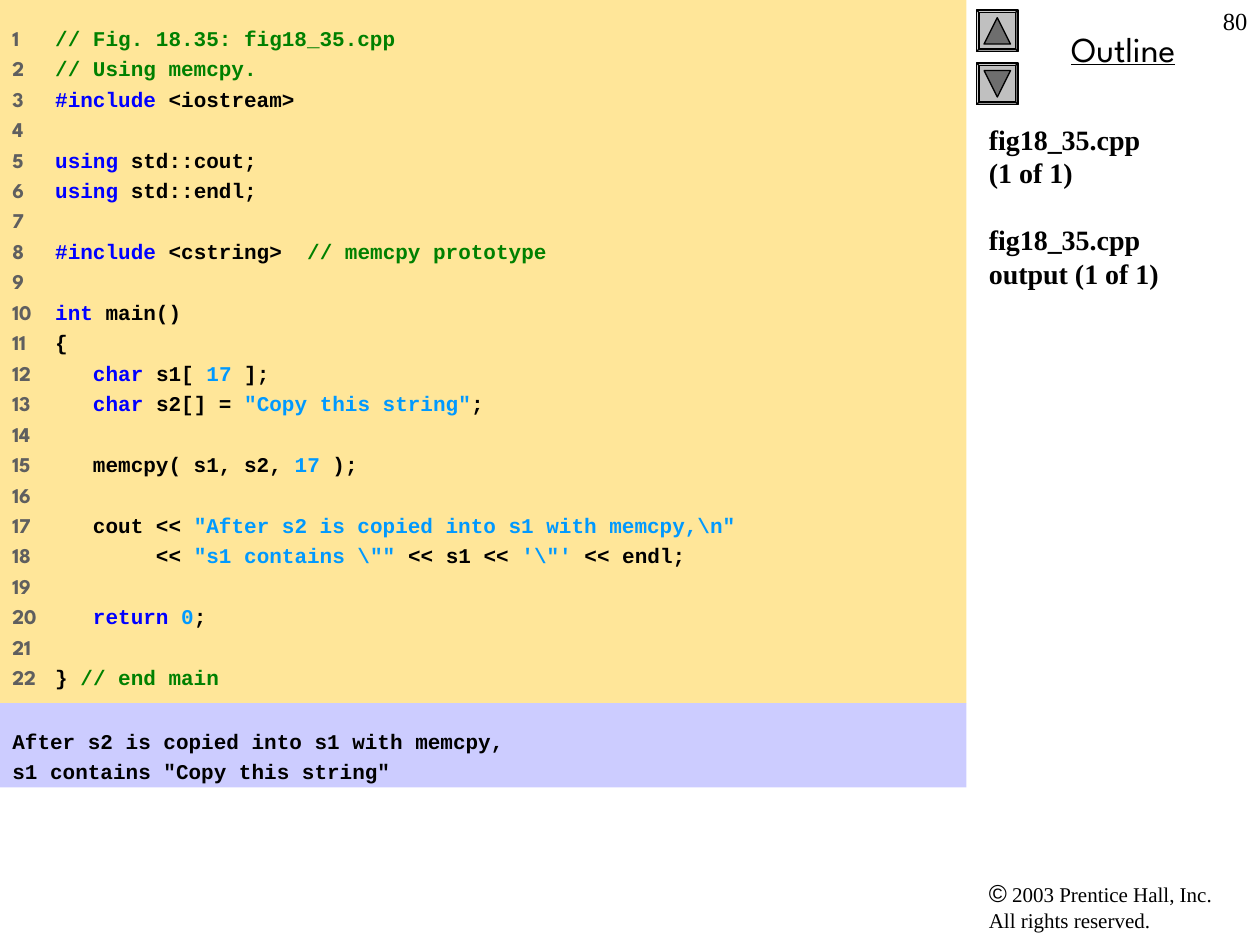
from lxml import etree
from pptx import Presentation, util as u
from pptx.dml.color import RGBColor
from pptx.enum import shapes, text
from pptx.oxml.ns import qn

COLORS = {
    "number": "5F5F5F", "comment": "008000", "keyword": "0000FF",
    "plain": "000000", "literal": "0099FF", "code_bg": "FFE699",
    "output_bg": "CCCCFF", "button": "C0C0C0", "arrow": "6E6E6E",
}
MONO, SANS, SERIF = "Courier New", "League Spartan", "Times New Roman"

CODE = [
    [("comment", "// Fig. 18.35: fig18_35.cpp")],
    [("comment", "// Using memcpy.")],
    [("keyword", "#include"), ("plain", " <iostream>")],
    [],
    [("keyword", "using"), ("plain", " std::cout;")],
    [("keyword", "using"), ("plain", " std::endl;")],
    [],
    [("keyword", "#include"), ("plain", " <cstring>  "),
     ("comment", "// memcpy prototype")],
    [],
    [("keyword", "int"), ("plain", " main()")],
    [("plain", "{")],
    [("keyword", "   char"), ("plain", " s1[ "), ("literal", "17"), ("plain", " ];")],
    [("keyword", "   char"), ("plain", " s2[] = "),
     ("literal", '"Copy this string"'), ("plain", ";")],
    [],
    [("plain", "   memcpy( s1, s2, "), ("literal", "17"), ("plain", " );")],
    [],
    [("plain", "   cout << "),
     ("literal", r'"After s2 is copied into s1 with memcpy,\n"')],
    [("plain", "        << "), ("literal", r'"s1 contains \"" '),
     ("plain", "<< s1 << "), ("literal", r"'\"' "), ("plain", "<< endl;")],
    [],
    [("keyword", "   return "), ("literal", "0"), ("plain", ";")],
    [],
    [("plain", "} "), ("comment", "// end main")],
]


def add_box(left, top, width, height, fill=None, inset=0.05):
    sp = s.shapes.add_textbox(*map(u.Inches, (left, top, width, height)))
    if fill:
        sp.fill.solid()
        sp.fill.fore_color.rgb = RGBColor.from_string(COLORS[fill])
    tf = sp.text_frame
    tf.word_wrap = True
    tf.auto_size = text.MSO_AUTO_SIZE.NONE
    tf.margin_top = tf.margin_bottom = u.Inches(inset)
    return tf


def set_font(font, name, size=None, color="plain", bold=None):
    font.name = name
    font.color.rgb = RGBColor.from_string(COLORS[color])
    if size:
        font.size = u.Pt(size)
    if bold:
        font.bold = True


prs = Presentation()
prs.slide_width, prs.slide_height = u.Inches(10), u.Inches(7.5)
s = prs.slides.add_slide(prs.slide_layouts[6])

p = add_box(7.75, 6.92, 2.17, 0.54).paragraphs[0]
r = p.add_run()
r.text = "©"
set_font(r.font, "Arial", 14)
for i, line in enumerate([" 2003 Prentice Hall, Inc.", "All rights reserved."]):
    if i:
        p.add_line_break()
    r = p.add_run()
    r.text = line
    set_font(r.font, SERIF, 12)

p = add_box(7.83, 0.17, 2.17, 0.44).paragraphs[0]
p.text = "Outline"
p.alignment = text.PP_ALIGN.CENTER
set_font(p.font, SANS, 20)
p.font.underline = True

for top, arrow_top, turn in [(0.08, 0.14, 0), (0.5, 0.56, 180)]:
    button = s.shapes.add_shape(shapes.MSO_SHAPE.BEVEL, u.Inches(7.75),
                                u.Inches(top), u.Inches(0.33), u.Inches(0.33))
    button.adjustments[0] = 0.06
    arrow = s.shapes.add_shape(shapes.MSO_SHAPE.ISOSCELES_TRIANGLE, u.Inches(7.81),
                               u.Inches(arrow_top), u.Inches(0.21), u.Inches(0.21))
    arrow.rotation = turn
    for sp, color in [(button, "button"), (arrow, "arrow")]:
        sp.shadow.inherit = False
        sp.fill.solid()
        sp.fill.fore_color.rgb = RGBColor.from_string(COLORS[color])
        sp.line.color.rgb = RGBColor.from_string(COLORS["plain"])
        sp.line.width = u.Pt(0.75)

tf = add_box(7.75, 0.92, 2.25, 5.25)
for i, title in enumerate(["fig18_35.cpp\v(1 of 1)", "fig18_35.cpp\voutput (1 of 1)"]):
    p = tf.add_paragraph() if i else tf.paragraphs[0]
    p.text = title
    if i:
        p.space_before = u.Pt(19)
    set_font(p.font, SERIF, 16, bold=True)

tf = add_box(0, 0, 7.67, 5.58, "code_bg", 0.2)
for i, runs in enumerate(CODE):
    p = tf.add_paragraph() if i else tf.paragraphs[0]
    tabs = etree.SubElement(p._p.get_or_add_pPr(), qn("a:tabLst"))
    etree.SubElement(tabs, qn("a:tab"), pos=str(u.Inches(0.34)), algn="l")
    if i:
        p.space_before = u.Pt(3)
    p.font.size, p.font.bold = u.Pt(12), True
    r = p.add_run()
    r.text = f"{i + 1}\t" if runs else str(i + 1)
    set_font(r.font, SANS, color="number")
    for color, code in runs:
        r = p.add_run()
        r.text = code
        set_font(r.font, MONO, color=color)

tf = add_box(0, 5.58, 7.67, 0.67, "output_bg", 0.2)
for i, line in enumerate(["After s2 is copied into s1 with memcpy,",
                          's1 contains "Copy this string"']):
    p = tf.add_paragraph() if i else tf.paragraphs[0]
    p.text = line
    if i:
        p.space_before = u.Pt(3)
    set_font(p.font, MONO, 12, bold=True)

p = add_box(9.5, 0, 0.5, 0.5).paragraphs[0]
p.text = "80"
p.alignment = text.PP_ALIGN.RIGHT
set_font(p.font, SERIF, 14)

prs.save("out.pptx")
